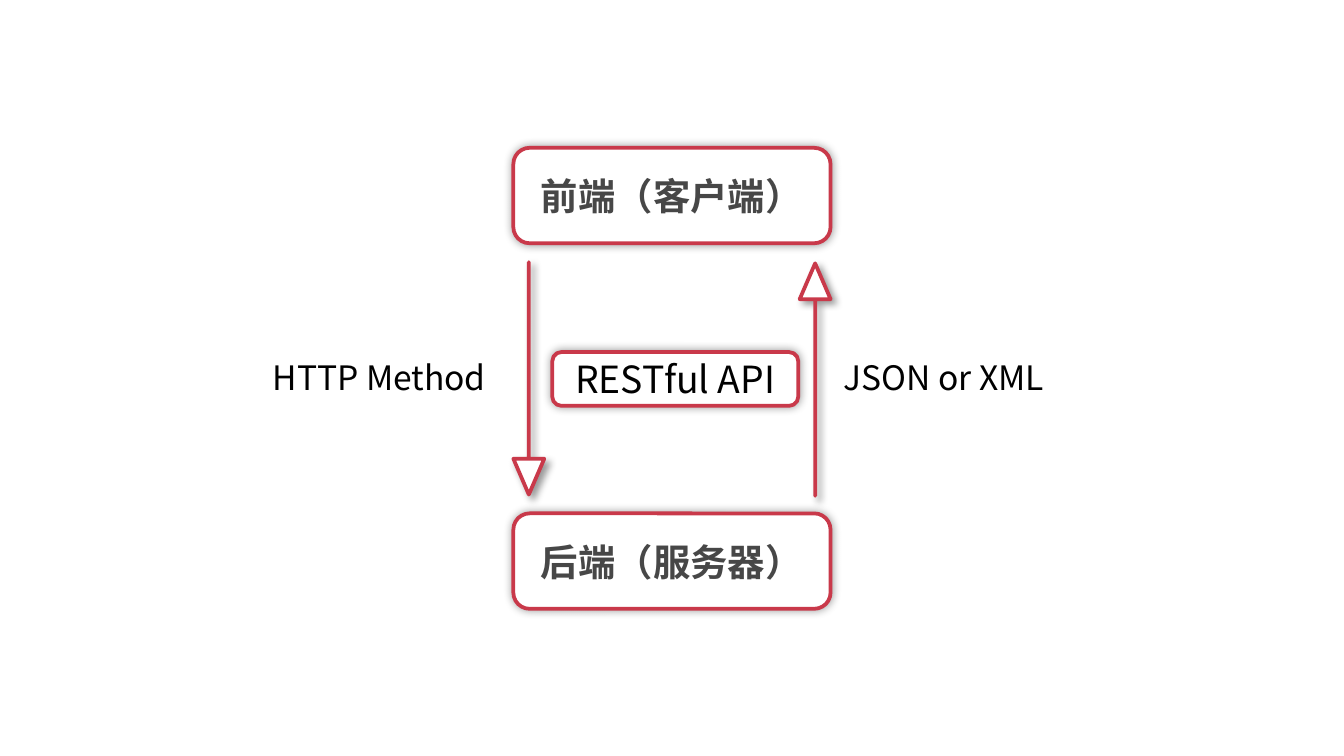
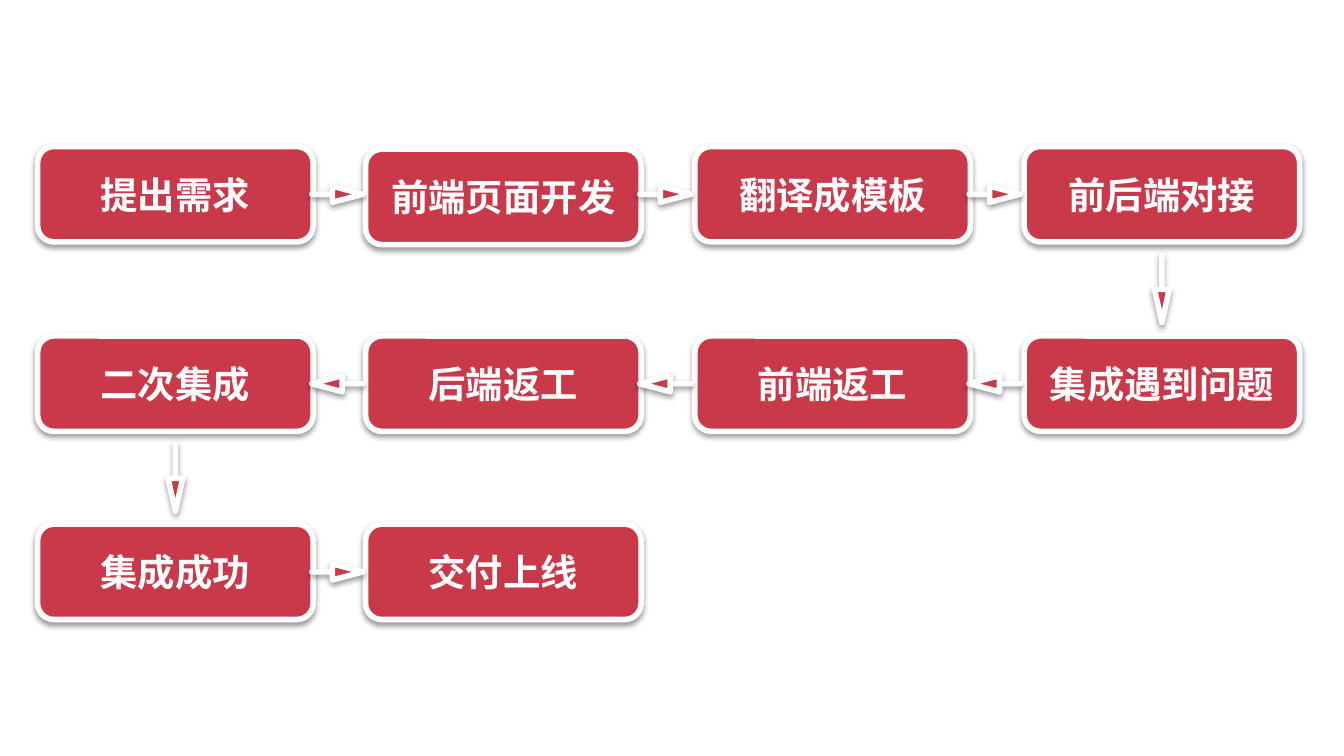
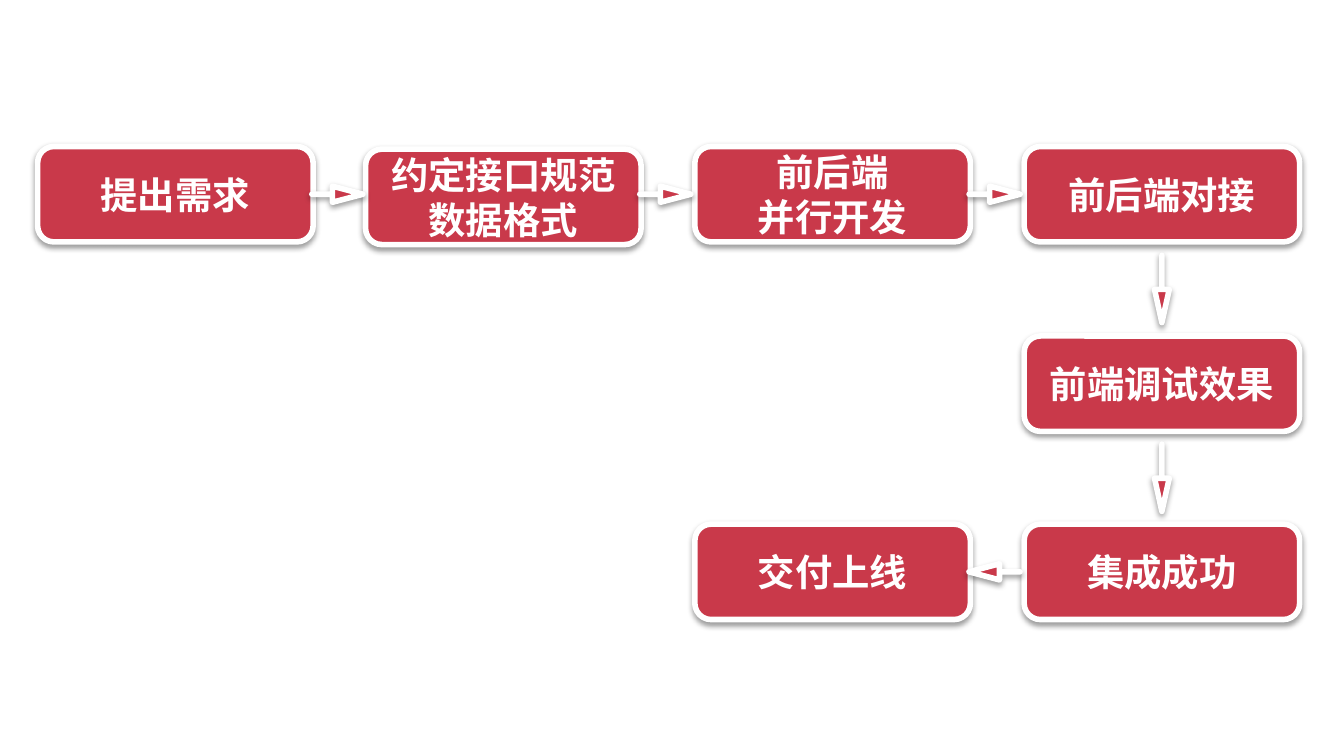
from lxml import etree
from pptx import Presentation
from pptx.dml.color import RGBColor
from pptx.enum import shapes, text
from pptx.oxml import ns
from pptx.util import Inches, Pt

FONT = "Noto Sans CJK SC"
RED, WHITE, GRAY, BLACK = "C9394A", "FFFFFF", "474747", "000000"
ROUND_RECT = shapes.MSO_SHAPE.ROUNDED_RECTANGLE
LEFT_ARROW = shapes.MSO_SHAPE.LEFT_ARROW
CORNER = 0.17

# Shadows: opacity in percent, blur and distance in points, angle in degrees
GLOW = (40, 5, 0, 0)
SLANTED = (40, 4, 3, 45)
BELOW = (38, 3.1, 1.6, 90)


def write(shape, lines, size, color, bold=False, align=text.PP_ALIGN.CENTER):
    frame = shape.text_frame
    frame.word_wrap = True
    for index, line in enumerate(lines):
        paragraph = frame.paragraphs[0] if index == 0 else frame.add_paragraph()
        paragraph.alignment = align
        run = paragraph.add_run()
        run.text = line
        run.font.name = FONT
        run.font.size = Pt(size)
        run.font.bold = bold
        run.font.color.rgb = RGBColor.from_string(color)
        east_asian = etree.SubElement(run.font._element, ns.qn("a:ea"))
        east_asian.set("typeface", FONT)


def add_block(slide, preset, box, adjustments, fill, line, width, shadow, rotation=0):
    shape = slide.shapes.add_shape(preset, *map(Inches, box))
    for index, value in enumerate(adjustments):
        shape.adjustments[index] = value
    shape.rotation = rotation
    shape.fill.solid()
    shape.fill.fore_color.rgb = RGBColor.from_string(fill)
    shape.line.color.rgb = RGBColor.from_string(line)
    shape.line.width = Pt(width)
    # Outer shadow inside an explicit effect list
    opacity, blur, distance, angle = shadow
    shape.shadow.inherit = False
    effects = shape._element.spPr.find(ns.qn("a:effectLst"))
    outer = etree.SubElement(effects, ns.qn("a:outerShdw"), blurRad=str(Pt(blur)),
                             dist=str(Pt(distance)), dir=str(angle * 60000), rotWithShape="0")
    color = etree.SubElement(outer, ns.qn("a:srgbClr"), val=BLACK)
    etree.SubElement(color, ns.qn("a:alpha"), val=str(opacity * 1000))
    return shape


# 16:9 page
presentation = Presentation()
presentation.slide_width = Inches(10)
presentation.slide_height = Inches(10 * 9 / 16)
blank = presentation.slide_layouts[6]

# Slide 1: client and server exchange
slide = presentation.slides.add_slide(blank)
for top, label in ((1.1, "前端（客户端）"), (3.82, "后端（服务器）")):
    node = add_block(slide, ROUND_RECT, (3.82, top, 2.36, 0.71), [CORNER],
                     WHITE, RED, 2, GLOW)
    write(node, [label], 20, GRAY, bold=True)

for left, top, rotation in ((3.07, 2.7, 270), (5.2, 2.71, 90)):
    add_block(slide, LEFT_ARROW, (left, top, 1.73, 0.23), [0, 1.16],
              WHITE, RED, 2, SLANTED, rotation)

for left, width, label in ((1.93, 1.88, "HTTP Method"), (6.18, 1.84, "JSON or XML")):
    caption = slide.shapes.add_textbox(Inches(left), Inches(2.61), Inches(width), Inches(0.4))
    write(caption, [label], 18, BLACK, align=text.PP_ALIGN.LEFT)

api = add_block(slide, ROUND_RECT, (4.11, 2.62, 1.83, 0.4), [CORNER], WHITE, RED, 2, GLOW)
write(api, ["RESTful API"], 20, BLACK)

# Slides 2 and 3: workflows as paths of (column, row, lines) through a grid
workflows = [
    [
        (0, 0, ["提出需求"]), (1, 0, ["前端页面开发"]),
        (2, 0, ["翻译成模板"]), (3, 0, ["前后端对接"]),
        (3, 1, ["集成遇到问题"]), (2, 1, ["前端返工"]),
        (1, 1, ["后端返工"]), (0, 1, ["二次集成"]),
        (0, 2, ["集成成功"]), (1, 2, ["交付上线"]),
    ],
    [
        (0, 0, ["提出需求"]), (1, 0, ["约定接口规范", "数据格式"]),
        (2, 0, ["前后端", "并行开发"]), (3, 0, ["前后端对接"]),
        (3, 1, ["前端调试效果"]), (3, 2, ["集成成功"]),
        (2, 2, ["交付上线"]),
    ],
]
COLUMNS = (0.28, 2.72, 5.17, 7.62)
ROWS = (1.09, 2.5, 3.9)
STEP_WIDTH, STEP_HEIGHT = 2.05, 0.71

for workflow in workflows:
    slide = presentation.slides.add_slide(blank)

    # Steps; the second one sits slightly lower
    for column, row, lines in workflow:
        top = ROWS[row] + (0.02 if (column, row) == (1, 0) else 0)
        step = add_block(slide, ROUND_RECT, (COLUMNS[column], top, STEP_WIDTH, STEP_HEIGHT),
                         [CORNER], RED, WHITE, 3, BELOW)
        write(step, lines, 20, WHITE, bold=True)

    # Arrows in the gaps between consecutive steps
    for (column, row, _), (next_column, next_row, _) in zip(workflow, workflow[1:]):
        if row == next_row:
            width, height, head = 0.38, 0.12, 1.89
            rotation = 180 if next_column > column else 0
            center_x = COLUMNS[min(column, next_column)] + STEP_WIDTH + 0.18
            center_y = ROWS[row] + STEP_HEIGHT / 2
        else:
            width, height, head, rotation = 0.5, 0.11, 2.25, 270
            center_x = COLUMNS[column] + STEP_WIDTH / 2
            center_y = (ROWS[row] + STEP_HEIGHT + ROWS[next_row]) / 2
        box = (center_x - width / 2, center_y - height / 2, width, height)
        add_block(slide, LEFT_ARROW, box, [0, head], RED, WHITE, 3, BELOW, rotation)

presentation.save("out.pptx")
